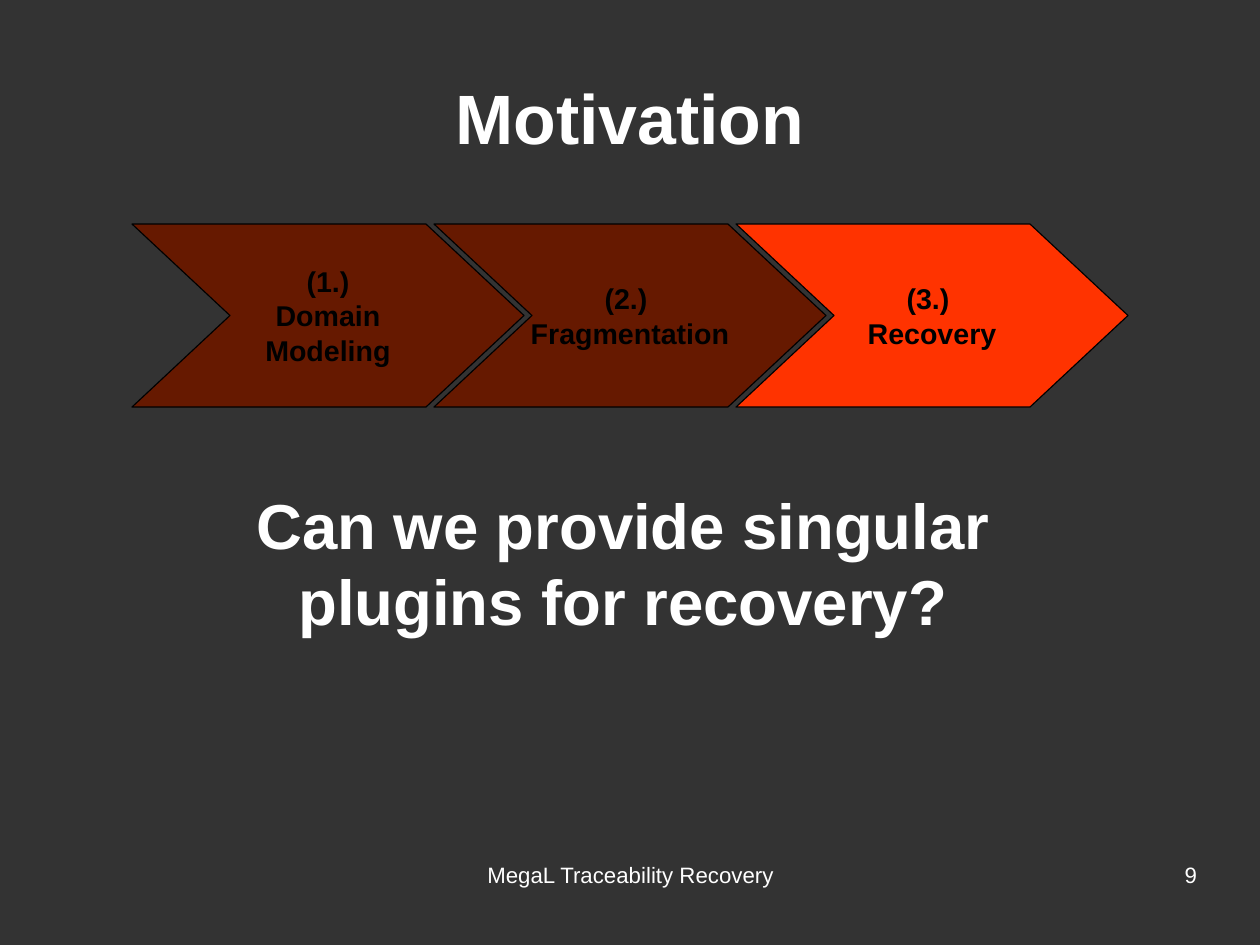
"""Build the Motivation slide: three process steps and the question they lead to."""
import dataclasses

import pptx
import pptx.dml.color
import pptx.enum.shapes
import pptx.enum.text
import pptx.util

EMU_PER_PX = 8000
ALIGN = pptx.enum.text.PP_ALIGN
ANCHOR = pptx.enum.text.MSO_ANCHOR


@dataclasses.dataclass(frozen=True)
class Theme:
    font: str = "Arial"
    background: str = "333333"
    light: str = "FFFFFF"
    dark: str = "000000"
    muted_step: str = "661900"
    active_step: str = "FF3300"
    title_size: int = 44
    question_size: int = 40
    step_size: int = 18
    footer_size: int = 14


THEME = Theme()
STEPS = [
    (["(1.)", "Domain", "Modeling"], THEME.muted_step),
    (["(2.) ", "Fragmentation"], THEME.muted_step),
    (["(3.) ", "Recovery"], THEME.active_step),
]
STEP_LEFT, STEP_TOP, STEP_WIDTH, STEP_HEIGHT = 132, 224, 392, 183
STEP_PITCH, STEP_POINT = 302, 98


def px(length):
    return pptx.util.Emu(length * EMU_PER_PX)


def rgb(value):
    return pptx.dml.color.RGBColor.from_string(value)


def apply(target, values):
    for name, value in values.items():
        setattr(target, name, value)


def fill_text(frame, lines, size, color, bold, align, frame_format):
    apply(frame, frame_format)
    for index, line in enumerate(lines):
        paragraph = frame.add_paragraph() if index else frame.paragraphs[0]
        paragraph.alignment = align
        run = paragraph.add_run()
        run.text = line
        apply(run.font, {"name": THEME.font, "size": pptx.util.Pt(size), "bold": bold})
        run.font.color.rgb = rgb(color)


def add_label(slide, box, text, size, bold=False, align=ALIGN.CENTER,
              anchor=ANCHOR.TOP, inset=(0, 0)):
    label = slide.shapes.add_textbox(*map(px, box))
    side, edge = (pptx.util.Inches(value) for value in inset)
    fill_text(label.text_frame, [text], size, THEME.light, bold, align, {
        "word_wrap": True, "vertical_anchor": anchor,
        "margin_left": side, "margin_right": side,
        "margin_top": edge, "margin_bottom": edge,
    })


def add_step(process, position, lines, color):
    box = (STEP_LEFT + position * STEP_PITCH, STEP_TOP, STEP_WIDTH, STEP_HEIGHT)
    step = process.shapes.add_shape(pptx.enum.shapes.MSO_SHAPE.CHEVRON, *map(px, box))
    step.adjustments[0] = STEP_POINT / STEP_HEIGHT
    step.shadow.inherit = False
    step.fill.solid()
    step.fill.fore_color.rgb = rgb(color)
    step.line.color.rgb = rgb(THEME.dark)
    step.line.width = pptx.util.Pt(0)
    fill_text(step.text_frame, lines, THEME.step_size, THEME.dark, True, ALIGN.CENTER,
              {"word_wrap": False, "vertical_anchor": ANCHOR.MIDDLE})


def main():
    deck = pptx.Presentation()
    apply(deck, {"slide_width": px(1260), "slide_height": px(945)})
    slide = deck.slides.add_slide(deck.slide_layouts[6])
    slide.background.fill.solid()
    slide.background.fill.fore_color.rgb = rgb(THEME.background)

    add_label(slide, (63, 38, 1134, 158), "Motivation", THEME.title_size,
              bold=True, anchor=ANCHOR.MIDDLE)
    process = slide.shapes.add_group_shape()
    for position, (lines, color) in enumerate(STEPS):
        add_step(process, position, lines, color)
    add_label(slide, (137, 480, 972, 153), "Can we provide singular plugins for recovery?",
              THEME.question_size, bold=True, inset=(0.1, 0.05))
    add_label(slide, (431, 861, 399, 65), "MegaL Traceability Recovery", THEME.footer_size)
    add_label(slide, (903, 861, 294, 65), "9", THEME.footer_size, align=ALIGN.RIGHT)
    deck.save("out.pptx")


if __name__ == "__main__":
    main()
